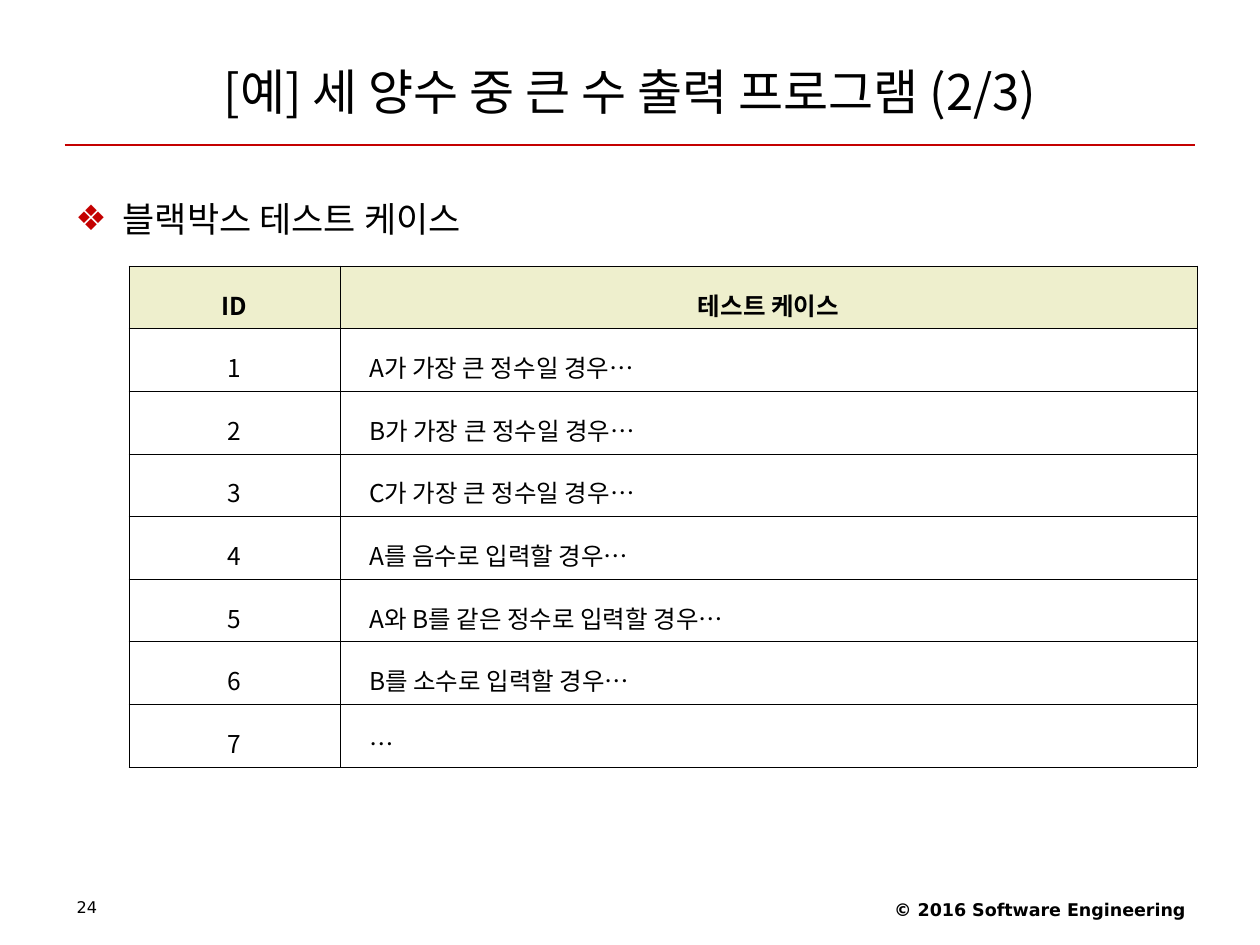
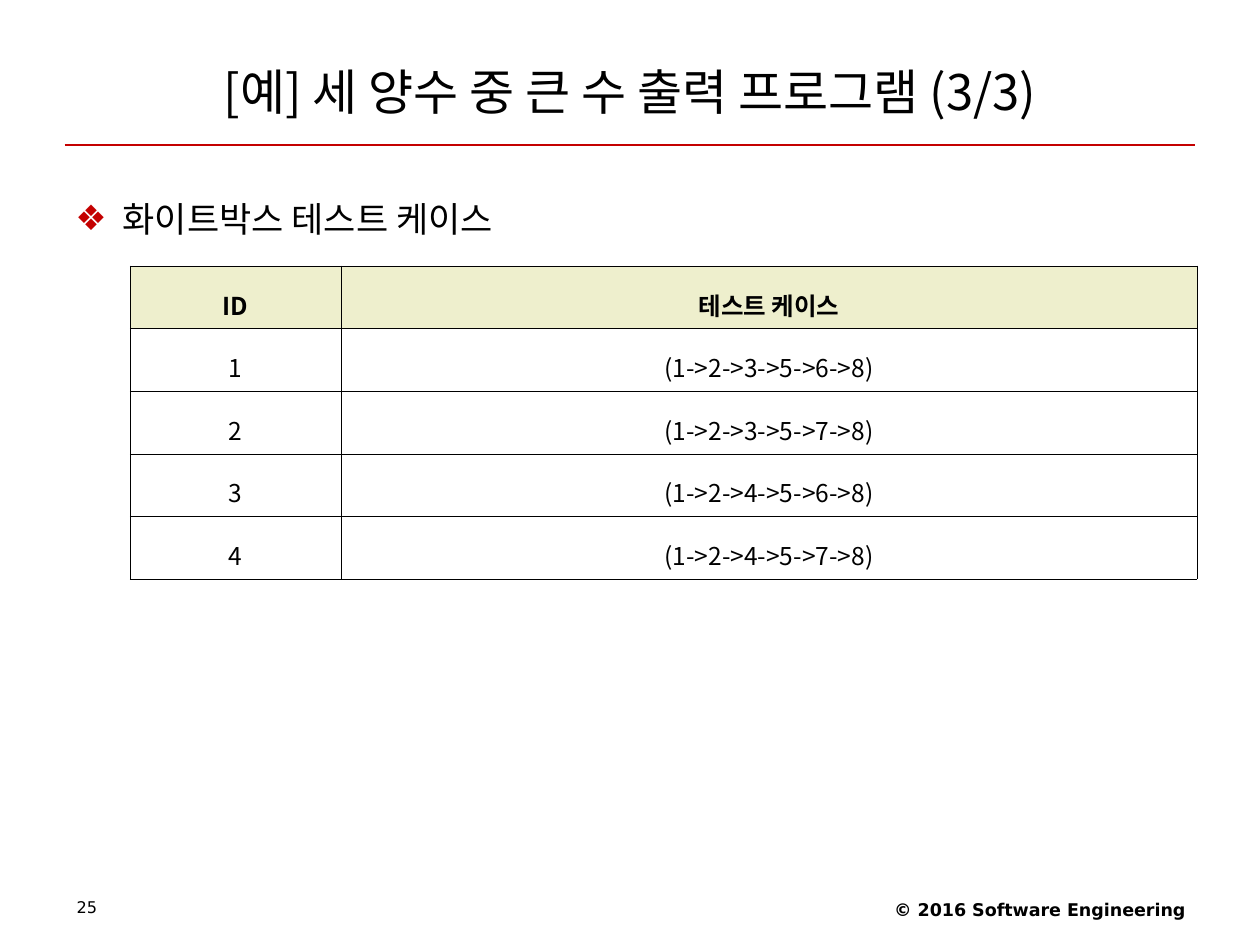
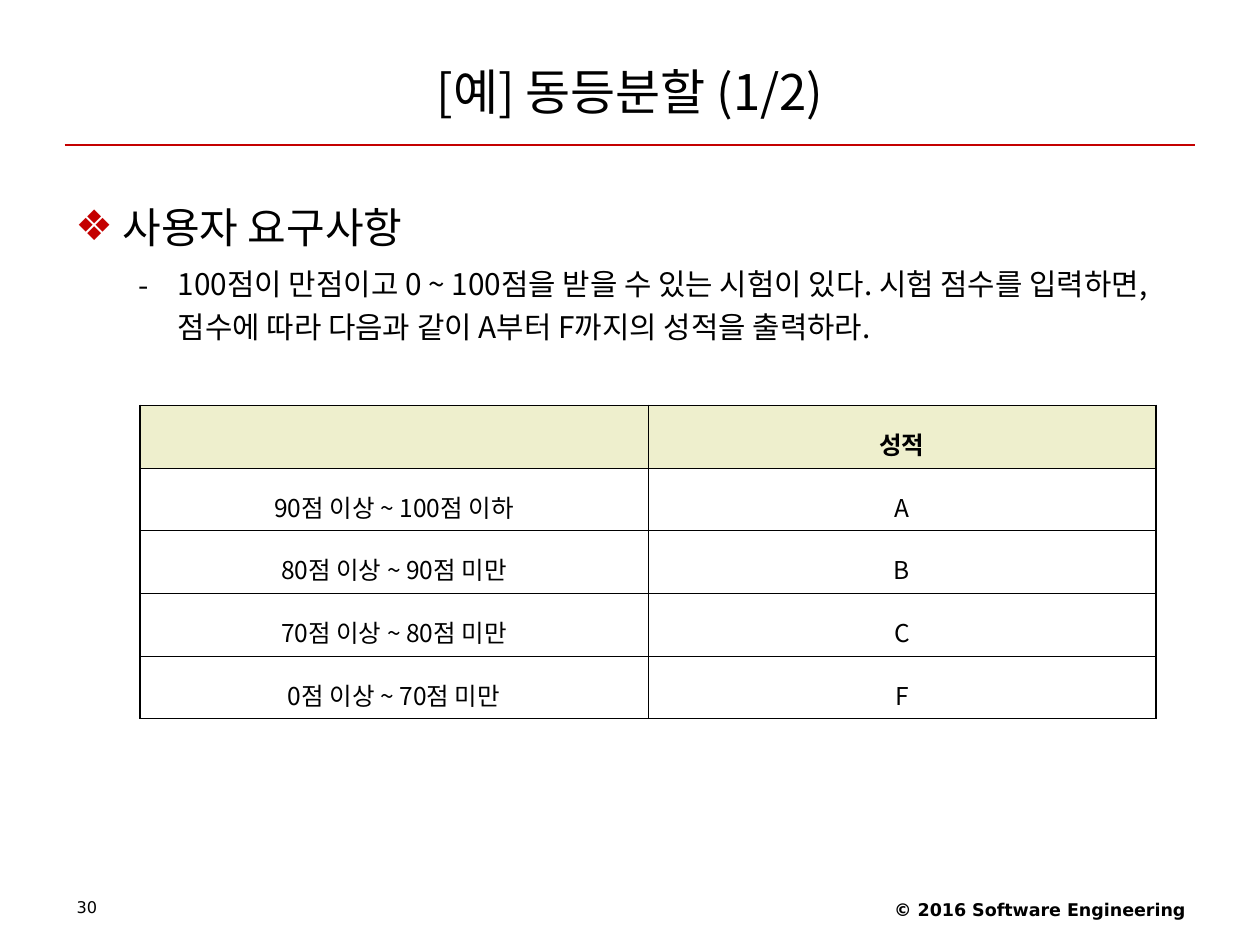
from dataclasses import dataclass

from lxml import etree
from pptx import Presentation
from pptx.dml.color import RGBColor
from pptx.enum.shapes import MSO_CONNECTOR
from pptx.enum.text import MSO_ANCHOR, MSO_AUTO_SIZE, PP_ALIGN
from pptx.oxml.ns import qn
from pptx.util import Pt

LEFT, CENTER, RIGHT = PP_ALIGN.LEFT, PP_ALIGN.CENTER, PP_ALIGN.RIGHT
TOP, MIDDLE = MSO_ANCHOR.TOP, MSO_ANCHOR.MIDDLE
NO_FIT = MSO_AUTO_SIZE.NONE
STRAIGHT = MSO_CONNECTOR.STRAIGHT
TITLE_ONLY = 5


@dataclass(frozen=True)
class Theme:
    ink: str = "000000"
    accent: str = "C40000"
    header_fill: str = "EEEFCD"
    body_font: str = "Noto Sans CJK KR"
    footer_font: str = "DejaVu Sans"
    symbol_font: str = "DejaVu Sans"
    title_size: float = 28
    detail_size: float = 17
    cell_size: float = 14
    footer_size: float = 10
    number_size: float = 9.2
    rule_width: float = 0.75


THEME = Theme()

# Boxes are left, top, width, height in points.
SLIDE_SIZE = (720, 540)
TITLE_BOX = (36, 21.6, 648, 61.2)
BODY_BOX = (36, 99.8, 648, 396.7)
RULE_LEFT, RULE_RIGHT, RULE_TOP = 36.9, 683.1, 82.8
COPYRIGHT_BOX = (456.2, 510.2, 228.2, 20.9)
NUMBER_BOX = (36.7, 510.5, 167.8, 20.2)
ROW_HEIGHT = 35.8


def points(values):
    return [Pt(value) for value in values]


def add_child(parent, tag, **attributes):
    return etree.SubElement(parent, qn(tag), **attributes)


def write(frame, text, size, font=THEME.body_font, bold=False, align=LEFT,
          line_spacing=1.0, before=0, level=0, indent=None, bullet=None,
          bullet_color=THEME.ink, bullet_font=THEME.body_font):
    """Fill the empty first paragraph, or add one; indent is (margin, first line)."""
    paragraph = frame.add_paragraph() if frame.text else frame.paragraphs[0]
    paragraph.alignment = align
    paragraph.line_spacing = line_spacing
    paragraph.space_before = Pt(before)
    paragraph.level = level
    properties = paragraph._p.get_or_add_pPr()
    if indent:
        margin, first_line = points(indent)
        properties.set("marL", str(margin))
        properties.set("indent", str(first_line))
    if bullet:
        color = add_child(properties, "a:buClr")
        add_child(color, "a:srgbClr", val=bullet_color)
        add_child(properties, "a:buFont", typeface=bullet_font)
        add_child(properties, "a:buChar", char=bullet)
    run = paragraph.add_run()
    run.text = text
    run.font.size = Pt(size)
    run.font.bold = bold
    run.font.name = font
    run.font.color.rgb = RGBColor.from_string(THEME.ink)


def add_text_frame(slide, box):
    frame = slide.shapes.add_textbox(*points(box)).text_frame
    frame.word_wrap = True
    return frame


def place_title(slide, title):
    placeholder = slide.shapes.title
    (placeholder.left, placeholder.top,
     placeholder.width, placeholder.height) = points(TITLE_BOX)
    frame = placeholder.text_frame
    frame.auto_size = NO_FIT
    frame.vertical_anchor = MIDDLE
    write(frame, title, THEME.title_size, align=CENTER)


def add_title_rule(slide):
    rule = slide.shapes.add_connector(
        STRAIGHT, *points((RULE_LEFT, RULE_TOP, RULE_RIGHT, RULE_TOP)))
    rule.line.color.rgb = RGBColor.from_string(THEME.accent)
    rule.line.width = Pt(THEME.rule_width)
    add_child(rule._element.spPr, "a:effectLst")


def add_footer(slide, number):
    write(add_text_frame(slide, COPYRIGHT_BOX), "© 2016 Software Engineering",
          THEME.footer_size, font=THEME.footer_font, bold=True, align=RIGHT)
    write(add_text_frame(slide, NUMBER_BOX), str(number), THEME.number_size,
          font=THEME.footer_font, line_spacing=0.9)


def add_slide(deck, title, number):
    slide = deck.slides.add_slide(deck.slide_layouts[TITLE_ONLY])
    add_title_rule(slide)
    add_footer(slide, number)
    place_title(slide, title)
    return slide


def add_body(slide, heading, size, detail=None):
    frame = add_text_frame(slide, BODY_BOX)
    write(frame, heading, size, line_spacing=1.4, before=size / 4,
          indent=(27, -27), bullet="❖", bullet_color=THEME.accent,
          bullet_font=THEME.symbol_font)
    if detail:
        write(frame, detail, THEME.detail_size, line_spacing=1.2, before=4.2,
              level=1, indent=(58.5, -22.5), bullet="-")


def set_borders(cell, widths):
    """Draw the borders, with widths given for left, right, top and bottom."""
    properties = cell._tc.get_or_add_tcPr()
    for side, width in zip("LRTB", widths):
        border = add_child(properties, f"a:ln{side}", w=str(Pt(width)))
        fill = add_child(border, "a:solidFill")
        add_child(fill, "a:srgbClr", val=THEME.ink)


def add_grid(slide, left, top, column_widths, rows, outer, inner,
             anchor=MIDDLE, side_margin=7.2, before=0, text_indent=None):
    """Add a table with a header row; text_indent left-aligns the last column."""
    row_count, column_count = len(rows), len(column_widths)
    box = (left, top, sum(column_widths), ROW_HEIGHT * row_count)
    table = slide.shapes.add_table(row_count, column_count, *points(box)).table
    table.horz_banding = False
    for column, width in zip(table.columns, column_widths):
        column.width = Pt(width)
    for r, values in enumerate(rows):
        table.rows[r].height = Pt(ROW_HEIGHT)
        for c, text in enumerate(values):
            cell = table.cell(r, c)
            is_header, is_last = r == 0, c == column_count - 1
            on_edge = (c == 0, is_last, is_header, r == row_count - 1)
            set_borders(cell, [outer if edge else inner for edge in on_edge])
            if is_header:
                cell.fill.solid()
                cell.fill.fore_color.rgb = RGBColor.from_string(THEME.header_fill)
            else:
                cell.fill.background()
            cell.vertical_anchor = anchor
            cell.margin_left = cell.margin_right = Pt(side_margin)
            indented = text_indent and is_last and not is_header
            if text:
                write(cell.text_frame, text, THEME.cell_size, bold=is_header,
                      align=LEFT if indented else CENTER, line_spacing=1.4,
                      before=before,
                      indent=(text_indent, 0) if indented else None)


def add_test_case_slide(deck, part, number, heading, cases, left, text_indent=None):
    slide = add_slide(deck, f"[예] 세 양수 중 큰 수 출력 프로그램 ({part}/3)", number)
    add_body(slide, heading, size=20)
    rows = [("ID", "테스트 케이스")]
    rows += [(str(i), case) for i, case in enumerate(cases, start=1)]
    id_width, table_right = 120.8, 684
    add_grid(slide, left, 151.9, (id_width, table_right - left - id_width),
             rows, outer=0.06, inner=0.06, text_indent=text_indent)


def add_grade_slide(deck, number):
    slide = add_slide(deck, "[예] 동등분할 (1/2)", number)
    add_body(slide, "사용자 요구사항", size=24,
             detail="100점이 만점이고 0 ~ 100점을 받을 수 있는 시험이 있다. "
                    "시험 점수를 입력하면, 점수에 따라 다음과 같이 "
                    "A부터 F까지의 성적을 출력하라.")
    grades = [
        ("", "성적"),
        ("90점 이상 ~ 100점 이하", "A"),
        ("80점 이상 ~ 90점 미만", "B"),
        ("70점 이상 ~ 80점 미만", "C"),
        ("0점 이상 ~ 70점 미만", "F"),
    ]
    add_grid(slide, 80, 231.7, (290.3, 290.3), grades, outer=1.08,
             inner=0.45, anchor=TOP, side_margin=8.6, before=3.5)


def main():
    deck = Presentation()
    deck.slide_width, deck.slide_height = points(SLIDE_SIZE)
    black_box_cases = [
        "A가 가장 큰 정수일 경우…",
        "B가 가장 큰 정수일 경우…",
        "C가 가장 큰 정수일 경우…",
        "A를 음수로 입력할 경우…",
        "A와 B를 같은 정수로 입력할 경우…",
        "B를 소수로 입력할 경우…",
        "…",
    ]
    white_box_cases = [f"(1->2->{third}->5->{fifth}->8)"
                       for third in (3, 4) for fifth in (6, 7)]
    add_test_case_slide(deck, 2, 24, "블랙박스 테스트 케이스", black_box_cases,
                        left=73.6, text_indent=9.4)
    add_test_case_slide(deck, 3, 25, "화이트박스 테스트 케이스", white_box_cases,
                        left=74.2)
    add_grade_slide(deck, 30)
    deck.save("out.pptx")


if __name__ == "__main__":
    main()
